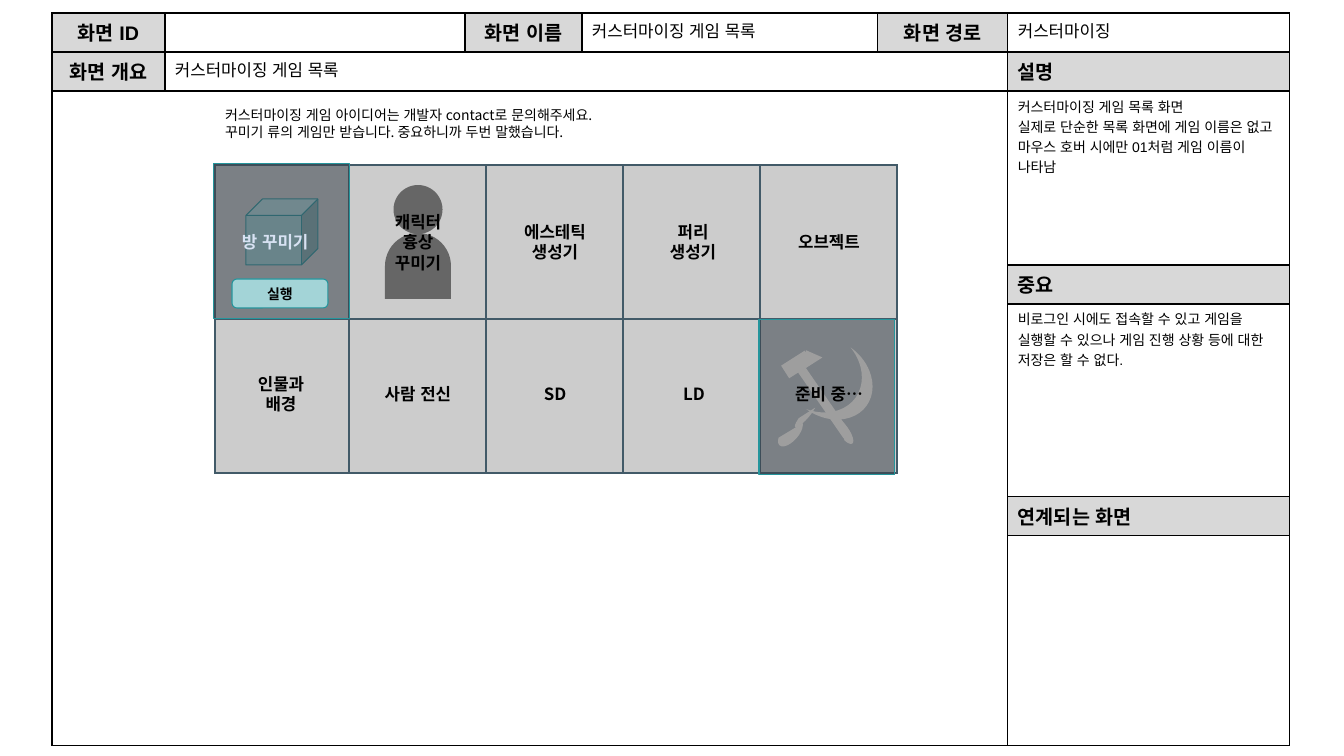
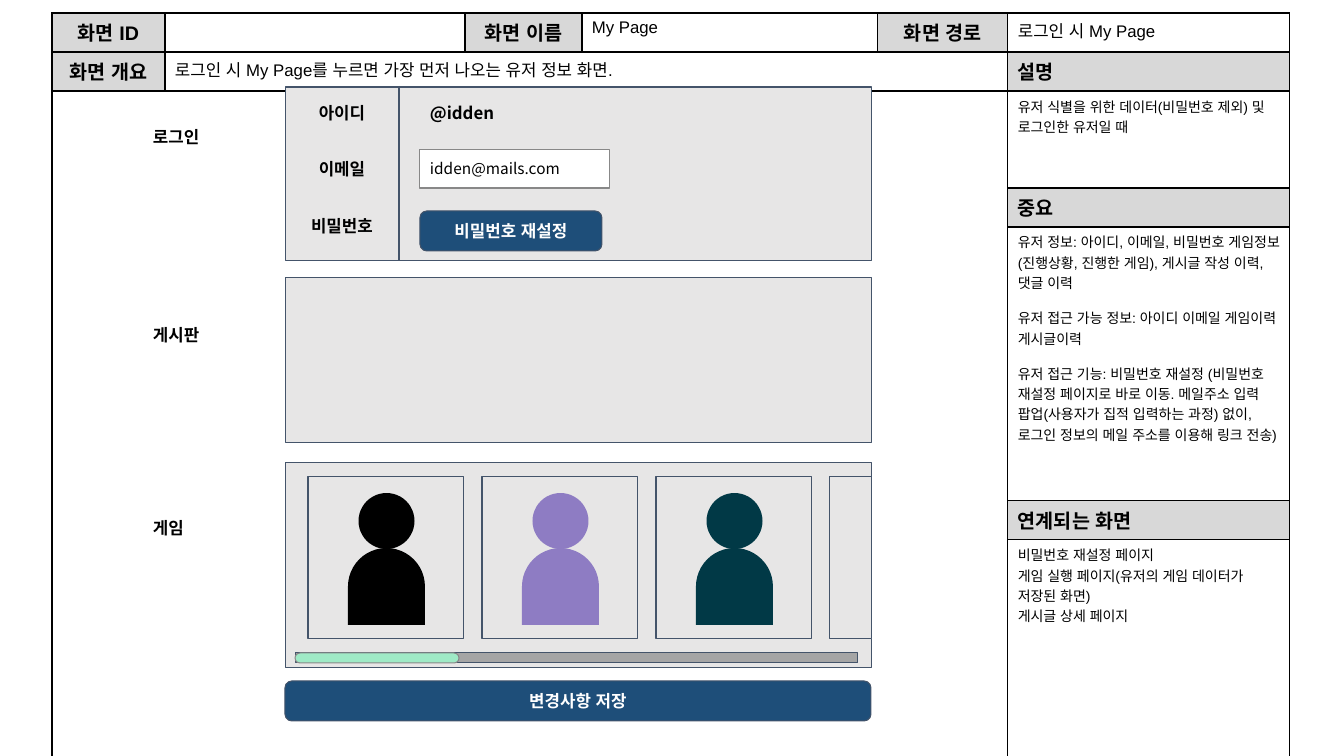
from dataclasses import dataclass
from lxml import etree
from pptx import Presentation
from pptx.dml.color import RGBColor
from pptx.enum.lang import MSO_LANGUAGE_ID
from pptx.enum.shapes import MSO_CONNECTOR, MSO_SHAPE
from pptx.enum.text import MSO_ANCHOR, PP_ALIGN
from pptx.oxml.ns import qn
from pptx.util import Pt

KOREAN = MSO_LANGUAGE_ID.KOREAN
LINE = MSO_CONNECTOR.STRAIGHT
RECT, ROUND = MSO_SHAPE.RECTANGLE, MSO_SHAPE.ROUNDED_RECTANGLE
OVAL, DELAY, CUBE = MSO_SHAPE.OVAL, MSO_SHAPE.FLOWCHART_DELAY, MSO_SHAPE.CUBE
MOON, CHORD = MSO_SHAPE.MOON, MSO_SHAPE.CHORD
TRIANGLE = MSO_SHAPE.ISOSCELES_TRIANGLE
TOP, MIDDLE = MSO_ANCHOR.TOP, MSO_ANCHOR.MIDDLE
LEFT, CENTER = PP_ALIGN.LEFT, PP_ALIGN.CENTER
PX = 914400 / 100.8


@dataclass(frozen=True)
class Theme:
    black: str = "000000"
    white: str = "FFFFFF"
    header: str = "D8D8D8"
    tile: str = "CCCCCC"
    tile_line: str = "425A68"
    shade: str = "3A434C"
    aqua: str = "A3D4D7"
    teal: str = "25959C"
    pale: str = "D8E2F3"
    bust: str = "666666"
    tool: str = "9E9E9E"
    panel: str = "E7E6E6"
    slate: str = "44546A"
    grey: str = "888888"
    navy: str = "1E4E79"
    track: str = "A5A5A5"
    mint: str = "9FEAC6"
    purple: str = "8E7CC3"
    petrol: str = "013946"
    latin: str = "Arial"
    hangul: str = "Noto Sans CJK KR"
    title: int = 14
    label: int = 12
    field: int = 11
    body: int = 10
    outline: float = 0.75


T = Theme()


def write(tf, text, size=T.label, color=T.black, bold=False, font=T.hangul,
          align=LEFT, gap=0, inset=None, anchor=None, pitch=None):
    if inset is not None:
        tf.word_wrap = True
        tf.margin_left = tf.margin_right = round(inset * PX)
        tf.margin_top = tf.margin_bottom = round(inset * PX)
    if anchor is not None:
        tf.vertical_anchor = anchor
    for i, line in enumerate(text.split("\n")):
        p = tf.add_paragraph() if i else tf.paragraphs[0]
        p.alignment = align
        if pitch:
            p.line_spacing = Pt(size * pitch)
        if i and gap:
            p.space_before = Pt(gap)
        r = p.add_run()
        r.text = line
        r.font.size, r.font.bold = Pt(size), bold
        r.font.color.rgb = RGBColor.from_string(color)
        r.font.language_id = KOREAN
        r.font.name = font
        etree.SubElement(r.font._element, qn("a:ea"), typeface=T.hangul)


def add(s, kind, box, fill, line=None, rot=0, adj=(), alpha=None):
    sp = s.shapes.add_shape(kind, *(round(v * PX) for v in box))
    sp.shadow.inherit = False
    sp.rotation = rot
    for i, value in enumerate(adj):
        sp.adjustments[i] = value
    sp.fill.solid()
    sp.fill.fore_color.rgb = RGBColor.from_string(fill)
    if alpha:
        color = sp._element.spPr.find(qn("a:solidFill"))[0]
        etree.SubElement(color, qn("a:alpha"), val=str(alpha * 1000))
    if line:
        sp.line.color.rgb = RGBColor.from_string(line)
        sp.line.width = Pt(T.outline)
    else:
        sp.line.fill.background()
    return sp


prs = Presentation()
prs.slide_width, prs.slide_height = round(1344 * PX), round(756 * PX)
games, mypage = (prs.slides.add_slide(prs.slide_layouts[6]) for _ in range(2))

# Specification frames: row heights, then name, route, summary and side notes
headings = {(0, 0): "화면 ID", (0, 2): "화면 이름", (0, 4): "화면 경로",
            (1, 0): "화면 개요", (1, 5): "설명", (3, 5): "중요",
            (5, 5): "연계되는 화면"}
frames = [
    (games, (39, 39, 174, 39, 193, 39, 210), {
        (0, 3): "커스터마이징 게임 목록",
        (0, 5): "커스터마이징",
        (1, 1): "커스터마이징 게임 목록",
        (2, 5): "커스터마이징 게임 목록 화면\n실제로 단순한 목록 화면에 게임 이름은 없고 "
                "마우스 호버 시에만 01처럼 게임 이름이 나타남",
        (4, 5): "비로그인 시에도 접속할 수 있고 게임을 실행할 수 있으나 "
                "게임 진행 상황 등에 대한 저장은 할 수 없다."}),
    (mypage, (39, 39, 97, 39, 274, 39, 242), {
        (0, 3): "My Page",
        (0, 5): "로그인 시 My Page",
        (1, 1): "로그인 시 My Page를 누르면 가장 먼저 나오는 유저 정보 화면.",
        (2, 5): "유저 식별을 위한 데이터(비밀번호 제외) 및 로그인한 유저일 때",
        (4, 5): "유저 정보: 아이디, 이메일, 비밀번호 게임정보(진행상황, 진행한 게임), "
                "게시글 작성 이력, 댓글 이력\n"
                "유저 접근 가능 정보: 아이디 이메일 게임이력 게시글이력\n"
                "유저 접근 기능: 비밀번호 재설정 (비밀번호 재설정 페이지로 바로 이동. "
                "메일주소 입력 팝업(사용자가 집적 입력하는 과정) 없이, "
                "로그인 정보의 메일 주소를 이용해 링크 전송)",
        (6, 5): "비밀번호 재설정 페이지\n게임 실행 페이지(유저의 게임 데이터가 저장된 화면)\n"
                "게시글 상세 페이지"}),
]
grids = [(s, 52, 13, (113, 300, 117, 296, 130, 282), rows, texts, T.black, 1)
         for s, rows, texts in frames]
grids.append((games, 215, 165, (134,) + (137,) * 4, (154,) * 2, None, T.tile_line, 1.5))

for s, x, y, cols, rows, texts, border, weight in grids:
    size = (x, y, sum(cols), sum(rows))
    table = s.shapes.add_table(len(rows), len(cols), *(round(v * PX) for v in size)).table
    table.first_row = table.horz_banding = False
    for c, width in enumerate(cols):
        table.columns[c].width = round(width * PX)
    for r, height in enumerate(rows):
        table.rows[r].height = round(height * PX)
        for c in range(len(cols)):
            cell = table.cell(r, c)
            heading = texts and headings.get((r, c))
            text = heading or (texts or {}).get((r, c))
            cell.margin_left = cell.margin_right = round(10 * PX)
            cell.margin_top = cell.margin_bottom = round(5 * PX) if text else 0
            if heading:
                write(cell.text_frame, text, T.title, bold=True, font=T.latin,
                      align=CENTER if c < 5 else LEFT)
            elif text:
                write(cell.text_frame, text, T.label if r < 2 else T.body,
                      font=T.latin, gap=11 if r == 4 else 0)
            if heading or not texts:
                cell.fill.solid()
                cell.fill.fore_color.rgb = RGBColor.from_string(T.header if heading else T.tile)
            else:
                cell.fill.background()
            # Borders stand before the fill in the cell properties
            tcPr = cell._tc.get_or_add_tcPr()
            for i, side in enumerate(("lnL", "lnR", "lnT", "lnB")):
                ln = etree.Element(qn("a:" + side), w=str(Pt(weight)))
                paint = etree.SubElement(ln, qn("a:solidFill"))
                etree.SubElement(paint, qn("a:srgbClr"), val=border)
                tcPr.insert(i, ln)
    if texts:
        table.cell(1, 1).merge(table.cell(1, 4))
        table.cell(2, 0).merge(table.cell(6, 4))

# Game list: hovered tile and tile in preparation
add(games, CUBE, (246, 199, 72, 66), T.aqua, T.teal, adj=[0.25])
for x, y in ((214, 164), (759, 320)):
    add(games, RECT, (x, y, 136, 155), T.shade, T.teal, alpha=55)

chord = [9.88 * 0.6, 206.86 * 0.6]
for kind, box, rot, adj in [
    (MOON, (824, 354, 47, 76), 215.7, [0.29]),
    (CHORD, (774, 425, 33, 16), 311.4, chord),
    (CHORD, (790, 412, 31, 7), 311.4, chord),
    (RECT, (783, 357, 28, 15), 327.5, []),
    (TRIANGLE, (800, 349, 20, 15), 327.5, [0.5]),
    (RECT, (816, 350, 9, 94), 325.4, []),
    (CHORD, (827, 425, 32, 11), 234.5, chord),
]:
    add(games, kind, box, T.tool, rot=rot, adj=adj)

# My page: panels, divider, game cards and scroll bar
for y, height in ((87, 174), (278, 165), (463, 205)):
    add(mypage, RECT, (286, y, 586, height), T.panel, T.slate)
divider = mypage.shapes.add_connector(LINE, *(round(v * PX) for v in (399, 86, 399, 260)))
divider.line.color.rgb = RGBColor.from_string(T.slate)
divider.line.width = Pt(T.outline)
etree.SubElement(divider._element.spPr, qn("a:effectLst"))
card_xs = [308 + 174 * i for i in range(4)]
for x in card_xs:
    add(mypage, RECT, (x, 477, min(156, 872 - x), 162), T.panel, T.slate)
add(mypage, RECT, (296, 653, 562, 10), T.track, T.slate)
add(mypage, ROUND, (295, 653, 164, 10), T.mint, T.grey, adj=[0.5])
email = add(mypage, RECT, (420, 149, 190, 39), T.white, T.grey)
write(email.text_frame, "idden@mails.com", T.field, inset=10, anchor=TOP, pitch=1.2)

# Busts: left, top, head and body size
busts = [(games, 385, 185, 49, 66, T.bust)]
busts += [(mypage, x + 40, 493, 56, 77, color)
          for x, color in zip(card_xs, (T.black, T.purple, T.petrol))]
for s, x, y, head, body, color in busts:
    add(s, OVAL, (x + (body - head) / 2, y, head, head), color)
    add(s, DELAY, (x, y + head - 1, body, body), color, rot=270)

# Buttons
for s, box, text, size, fill, line, color in [
    (games, (232, 279, 96, 29), "실행", T.body, T.aqua, T.teal, T.black),
    (mypage, (420, 211, 182, 40), "비밀번호 재설정", T.label, T.navy, T.slate, T.white),
    (mypage, (285, 681, 586, 40), "변경사항 저장", T.label, T.navy, T.slate, T.white),
]:
    button = add(s, ROUND, box, fill, line, adj=[0.17])
    write(button.text_frame, text, size, color, True, T.latin, CENTER, anchor=MIDDLE)

# Labels
title = {"bold": True}
centred = {"bold": True, "align": CENTER}
labels = [
    (games, (215, 97, 490, 54), "커스터마이징 게임 아이디어는 개발자 contact로 문의해주세요.\n"
     "꾸미기 류의 게임만 받습니다. 중요하니까 두번 말했습니다.", {"size": T.body}),
    (games, (232, 222, 96, 40), "방 꾸미기", {"bold": True, "color": T.pale}),
    (games, (370, 202, 96, 82), "캐릭터 흉상\n꾸미기", centred),
    (games, (507, 212, 96, 61), "에스테틱\n생성기", centred),
    (games, (645, 212, 96, 61), "퍼리 생성기", centred),
    (games, (781, 222, 96, 40), "오브젝트", centred),
    (games, (233, 364, 96, 61), "인물과 배경", centred),
    (games, (370, 374, 96, 40), "사람 전신", centred),
    (games, (507, 374, 96, 40), "SD", centred),
    (games, (646, 374, 96, 40), "LD", centred),
    (games, (781, 374, 96, 40), "준비 중…", centred),
    (mypage, (420, 93, 182, 40), "@idden", title),
]
labels += [(mypage, (296, y, 92, 40), text, centred)
           for y, text in ((93, "아이디"), (149, "이메일"), (206, "비밀번호"))]
labels += [(mypage, (143, y, 130, 40), text, title)
           for y, text in ((117, "로그인"), (315, "게시판"), (508, "게임"))]
for s, box, text, fmt in labels:
    tb = s.shapes.add_textbox(*(round(v * PX) for v in box))
    write(tb.text_frame, text, inset=10, anchor=TOP, pitch=1.2, **fmt)

prs.save("out.pptx")
